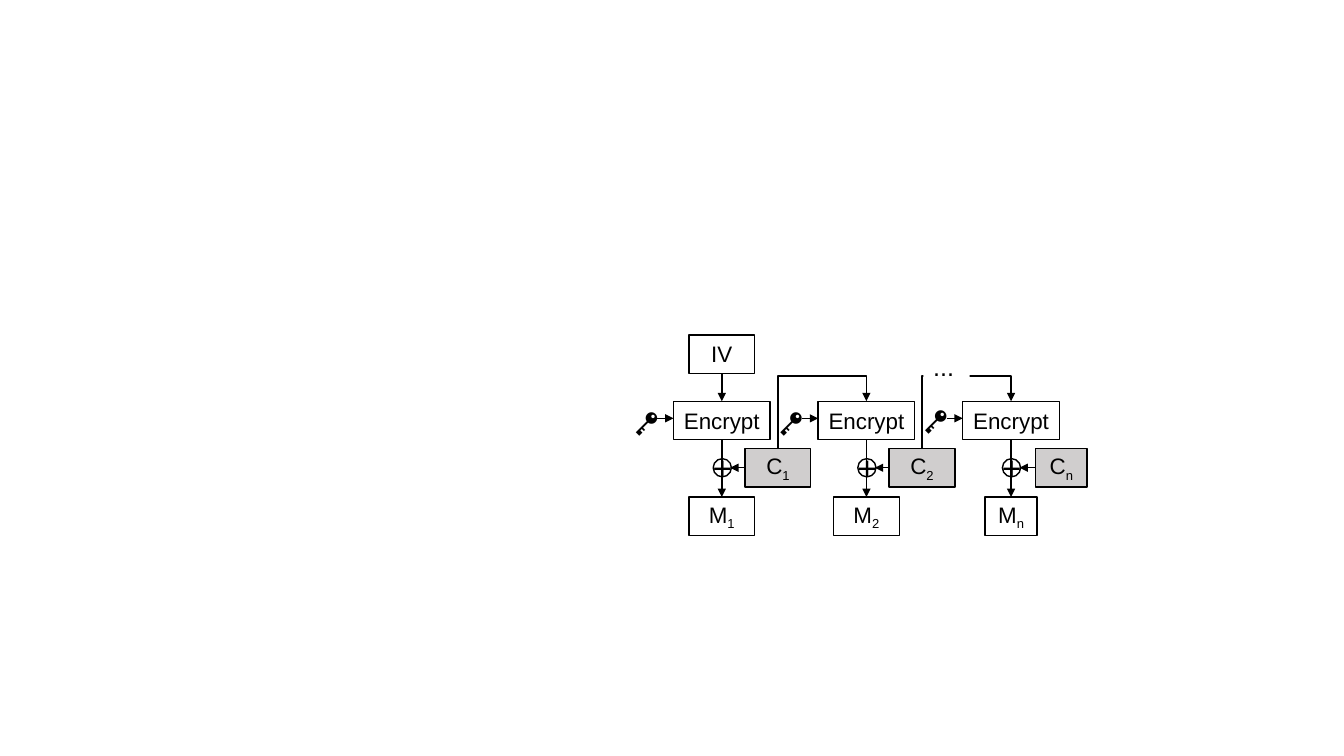
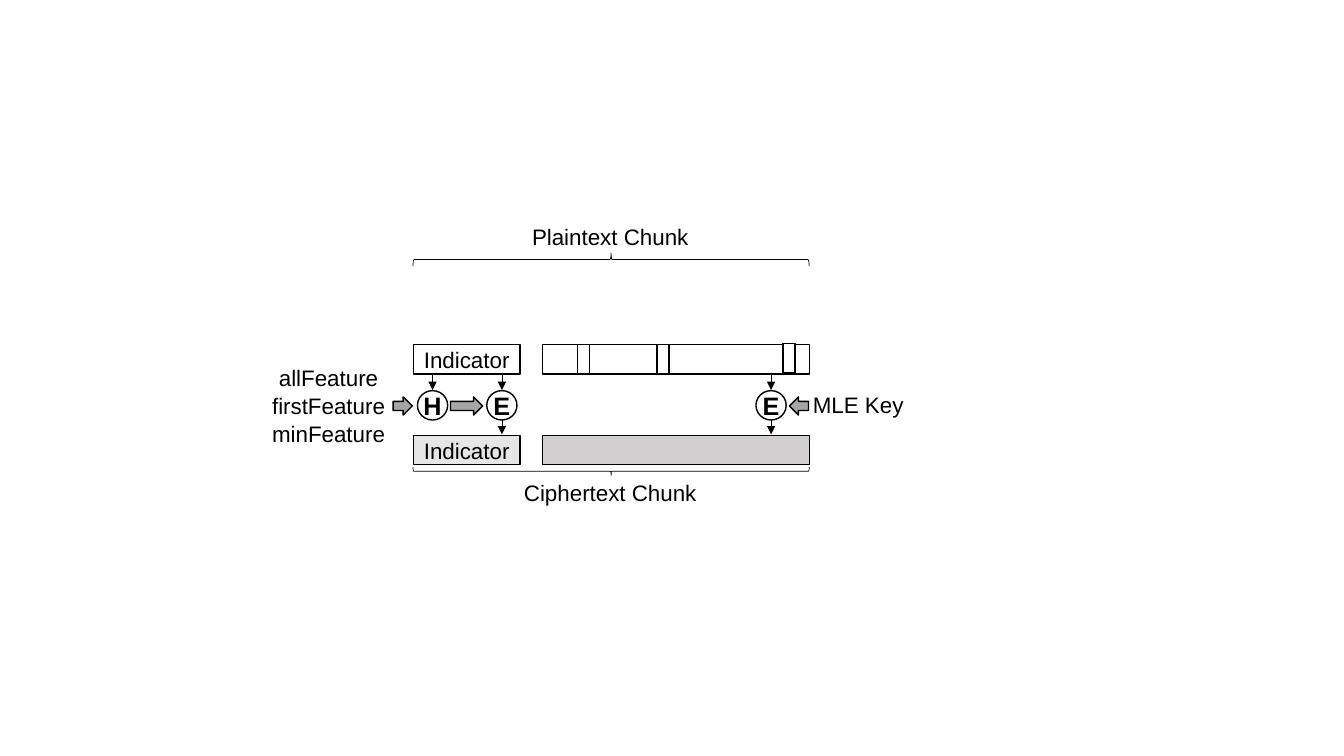
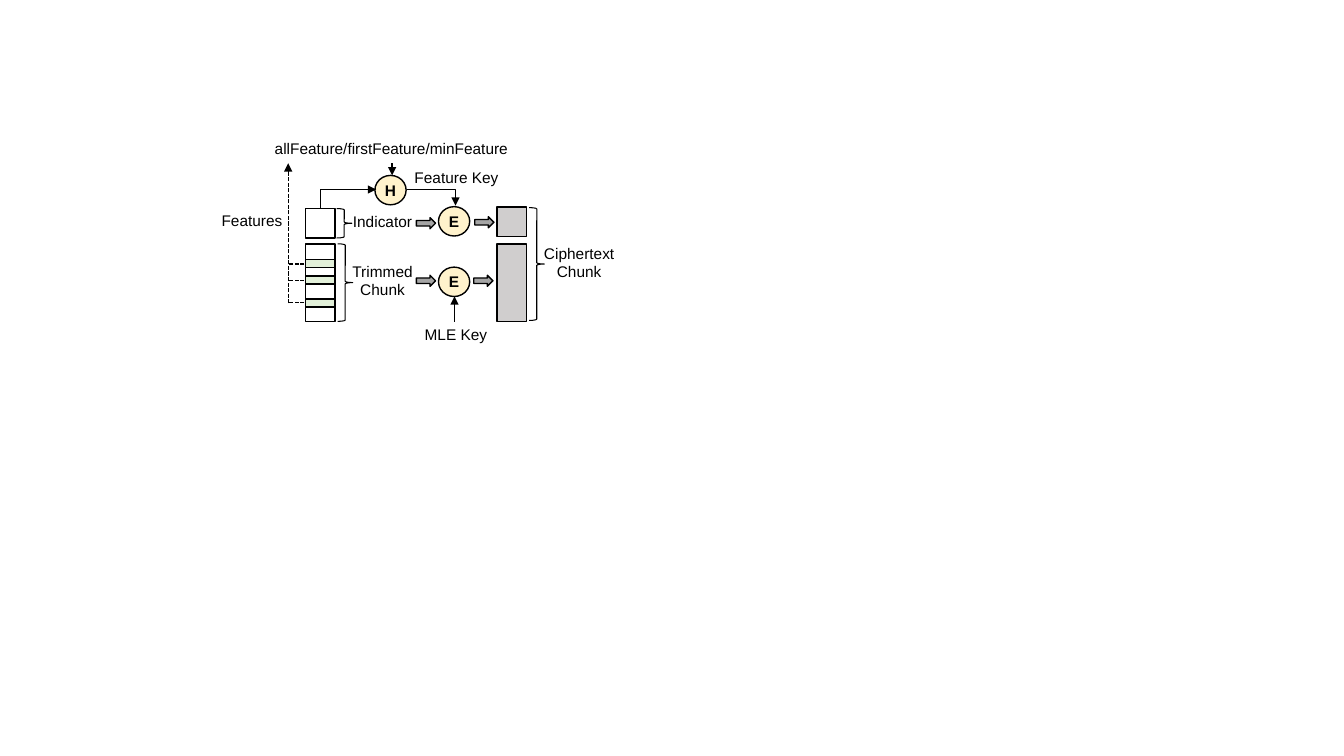
from lxml.etree import SubElement
from pptx import Presentation
from pptx.dml.color import RGBColor
from pptx.enum.dml import MSO_LINE
from pptx.enum.shapes import MSO_CONNECTOR, MSO_SHAPE
from pptx.enum.text import MSO_ANCHOR, PP_ALIGN
from pptx.oxml.ns import qn
from pptx.util import Pt

BLACK, WHITE = "000000", "FFFFFF"
CIPHER, PALE, ARROW = "D0CECE", "E7E6E6", "A5A5A5"
CREAM, GREEN = "FFF2CC", "E2F0D9"
RECT, OVAL = MSO_SHAPE.RECTANGLE, MSO_SHAPE.OVAL
RIGHT, LEFT, BRACE = MSO_SHAPE.RIGHT_ARROW, MSO_SHAPE.LEFT_ARROW, MSO_SHAPE.RIGHT_BRACE

CIPHER_MODE = [
    {"sub": "1", "width": 47, "offset": 16.6, "key_top": 286.6},
    {"sub": "2", "width": 47, "offset": 16.2, "key_top": 286.6},
    {"sub": "n", "width": 37, "offset": 17.4, "key_top": 285.2},
]

CHUNK_BARS = [
    (295.2, 246.2, 76.3, WHITE, "Indicator"),
    (387.4, 246.2, 190.8, WHITE, ""),
    (295.2, 311, 76.3, PALE, "Indicator"),
    (387.4, 311, 190.8, CIPHER, ""),
]
CHUNK_WINDOWS = [(412.6, 246.2), (469.4, 246.2), (559.4, 245.5)]
CHUNK_CIRCLES = [("H", 309, False), ("E", 358.5, True), ("E", 550.8, True)]
CHUNK_ARROWS = [(RIGHT, 280.8, 13.7), (RIGHT, 321.8, 23), (LEFT, 563.8, 13.7)]
CHUNK_BRACES = [(185.4, 9.4, 270), (336.6, 5.8, 90)]
CHUNK_LABELS = [
    ("allFeature\nfirstFeature\nminFeature", 184.3, 255.6, 100.8, 65.5),
    ("MLE Key", 533.5, 275.8, 159, 18.7),
    ("Plaintext Chunk", 356.4, 155.5, 159, 18.7),
    ("Ciphertext Chunk", 356.4, 338.4, 159, 18.7),
]

FLOW_STACK = [
    (218.2, 149, 21, WHITE),
    (218.2, 174.2, 55.4, WHITE),
    (354.9, 147.8, 21, CIPHER),
    (354.9, 174.2, 55.4, CIPHER),
]
FLOW_FEATURES = [(185.4, 188.6), (197, 200.2), (213.5, 216)]
FLOW_BRACES = [(240.5, 149, 21), (241.2, 174.2, 55.4), (378, 148.3, 80.6)]
FLOW_CIRCLES = [("H", 267.8, 125.3), ("E", 313.2, 147.6), ("E", 313.2, 190.8)]
FLOW_ARROWS = [(297.4, 155.5), (339.1, 154.8), (297.4, 196.6), (338.4, 196.6)]
FLOW_LABELS = [
    ("allFeature/firstFeature/minFeature", 187.2, 95.8, 185, 20.9),
    ("Feature Key", 288.7, 116.6, 74.9, 20.9),
    ("Features", 148.3, 147.6, 63.4, 20.9),
    ("Indicator", 244.8, 148.3, 56.9, 20.9),
    ("Trimmed\nChunk", 244.1, 183.6, 58.3, 33.8),
    ("Ciphertext\nChunk", 373, 170.6, 81.4, 33.8),
    ("MLE Key", 246.2, 229, 159, 20.9),
]


def color(value):
    return RGBColor.from_string(value)


def write(shape, text, size=16, bold=False, font="Arial", align=PP_ALIGN.CENTER,
          anchor=MSO_ANCHOR.MIDDLE, side=0, spacing=None):
    frame = shape.text_frame
    frame.word_wrap = True
    frame.vertical_anchor = anchor
    frame.margin_left = frame.margin_right = Pt(side)
    frame.margin_top = frame.margin_bottom = Pt(3.6 if anchor == MSO_ANCHOR.TOP else 0)
    for index, row in enumerate(text.split("\n")):
        para = frame.add_paragraph() if index else frame.paragraphs[0]
        para.alignment = align
        if spacing:
            para.line_spacing = spacing
        for level, part in enumerate(row.split("_")):
            span = para.add_run()
            span.text = part
            span.font.size = Pt(size)
            span.font.bold = bold
            span.font.name = font
            span.font.color.rgb = color(BLACK)
            properties = span.font._element
            SubElement(properties, qn("a:ea")).set("typeface", font)
            if level:
                properties.set("baseline", "-25000")


def block(page, kind, left, top, width, height, fill=WHITE, weight=1, text="", **form):
    shape = page.shapes.add_shape(kind, Pt(left), Pt(top), Pt(width), Pt(height))
    shape.shadow.inherit = False
    if fill:
        shape.fill.solid()
        shape.fill.fore_color.rgb = color(fill)
    else:
        shape.fill.background()
    if weight:
        shape.line.color.rgb = color(BLACK)
        shape.line.width = Pt(weight)
    else:
        shape.line.fill.background()
    if text:
        write(shape, text, **form)
    return shape


def label(page, text, left, top, width, height, **form):
    box = page.shapes.add_textbox(Pt(left), Pt(top), Pt(width), Pt(height))
    write(box, text, anchor=MSO_ANCHOR.TOP, **form)


def line(page, start, end, weight=1, head=True, dashed=False, kind=MSO_CONNECTOR.STRAIGHT):
    connector = page.shapes.add_connector(kind, *(Pt(value) for value in start + end))
    connector.line.color.rgb = color(BLACK)
    connector.line.width = Pt(weight)
    if dashed:
        connector.line.dash_style = MSO_LINE.SQUARE_DOT
    if head:
        SubElement(connector.line._get_or_add_ln(), qn("a:tailEnd")).set("type", "triangle")
    SubElement(connector._element.spPr, qn("a:effectLst"))
    return connector


def elbow(page, start, end, preset="bentConnector2", upward=True, bend=None):
    if upward:
        middle_x, middle_y = (start[0] + end[0]) / 2, (start[1] + end[1]) / 2
        half_w, half_h = abs(end[1] - start[1]) / 2, abs(end[0] - start[0]) / 2
        start = (middle_x - half_w, middle_y - half_h)
        end = (middle_x + half_w, middle_y + half_h)
    connector = line(page, start, end, kind=MSO_CONNECTOR.ELBOW)
    properties = connector._element.spPr
    if upward:
        frame = properties.find(qn("a:xfrm"))
        for name, value in (("rot", "5400000"), ("flipH", "1"), ("flipV", "1")):
            frame.set(name, value)
    geometry = properties.find(qn("a:prstGeom"))
    geometry.set("prst", preset)
    if bend:
        guides = geometry.find(qn("a:avLst"))
        if guides is None:
            guides = SubElement(geometry, qn("a:avLst"))
        guide = SubElement(guides, qn("a:gd"))
        guide.set("name", "adj1")
        guide.set("fmla", f"val {round(bend * 100000)}")


def draw_cipher_mode(page):
    first, pitch, tall = 515.6, 103.3, 27.4
    encrypt_top, cipher_top, message_top = 286.6, 320.4, 355
    block(page, RECT, first - 23.5, 239.2, 47, tall, text="IV")
    line(page, (first, 266.8), (first, encrypt_top))
    previous = None
    for index, item in enumerate(CIPHER_MODE):
        axis, width = first + index * pitch, item["width"]
        cipher_left = axis + item["offset"]
        block(page, RECT, axis - 34.5, encrypt_top, 69, tall, text="Encrypt")
        block(page, RECT, axis - width / 2, message_top, width, tall, text="M_" + item["sub"])
        block(page, OVAL, axis - 6.2, 327.6, 13, 13)
        label(page, "+", axis - 13.9, 316, 28.8, 36, size=24)
        line(page, (axis, encrypt_top + tall), (axis, message_top))
        line(page, (axis - 46, 298.8), (axis - 34.5, 298.8))
        label(page, "🔑", axis - 69.2, item["key_top"], 39.6, 28.8, size=18,
              font="Noto Sans CJK SC", align=PP_ALIGN.LEFT, side=7.2)
        if previous:
            elbow(page, (previous, cipher_top), (axis, encrypt_top), "bentConnector3", bend=1.53)
        block(page, RECT, cipher_left, cipher_top, width, tall, CIPHER, text="C_" + item["sub"])
        line(page, (cipher_left, 334.1), (axis + 6, 334.1))
        previous = cipher_left + width / 2
    block(page, RECT, 659.5, 247.7, 33.1, 28.8, weight=0, text="...", size=18,
          align=PP_ALIGN.LEFT, anchor=MSO_ANCHOR.TOP, side=7.2)


def draw_chunk_encryption(page):
    for left, top, width, fill, text in CHUNK_BARS:
        block(page, RECT, left, top, width, 21, fill, text=text)
    for left, top in CHUNK_WINDOWS:
        block(page, RECT, left, top, 8.6, 21)
    for letter, axis, encrypts in CHUNK_CIRCLES:
        block(page, OVAL, axis - 10.8, 279, 21.6, 21, text=letter, size=18, bold=True)
        line(page, (axis, 267.4), (axis, 278.6), weight=0.5)
        if encrypts:
            line(page, (axis, 299), (axis, 310.3), weight=0.5)
    for kind, left, width in CHUNK_ARROWS:
        block(page, kind, left, 283.5, width, 13, ARROW)
    for middle, depth, angle in CHUNK_BRACES:
        brace = block(page, BRACE, 436.5 - depth / 2, middle - 141.5, depth, 283, None, 0.5)
        brace.rotation = angle
    for text, *place in CHUNK_LABELS:
        label(page, text, *place, spacing=1.05 if "\n" in text else None)


def draw_key_flow(page):
    trunk = 205.9
    for left, top, height, fill in FLOW_STACK:
        block(page, RECT, left, top, 21, height, fill)
    for band_top, tap in FLOW_FEATURES:
        block(page, RECT, 218.2, band_top, 21, 5.8, GREEN)
        line(page, (217.4, tap), (trunk, tap), head=False, dashed=True)
    line(page, (trunk, 216.7), (trunk, 116.6), dashed=True)
    for left, top, height in FLOW_BRACES:
        block(page, BRACE, left, top, 10.8, height, None, 0.75)
    for letter, left, top in FLOW_CIRCLES:
        block(page, OVAL, left, top, 22.3, 21, CREAM, text=letter, size=11, bold=True)
    for left, top in FLOW_ARROWS:
        block(page, RIGHT, left, top, 13.7, 7.9, ARROW)
    line(page, (280.1, 116.6), (280.1, 125.3))
    line(page, (324.7, 229.7), (324.7, 211.7))
    elbow(page, (229, 149), (268.6, 135.4))
    elbow(page, (290.9, 135.4), (325.4, 146.9), upward=False)
    for text, *place in FLOW_LABELS:
        label(page, text, *place, size=11)


def main():
    deck = Presentation()
    deck.slide_width, deck.slide_height = Pt(960), Pt(540)
    for draw in (draw_cipher_mode, draw_chunk_encryption, draw_key_flow):
        draw(deck.slides.add_slide(deck.slide_layouts[6]))
    deck.save("out.pptx")


if __name__ == "__main__":
    main()
